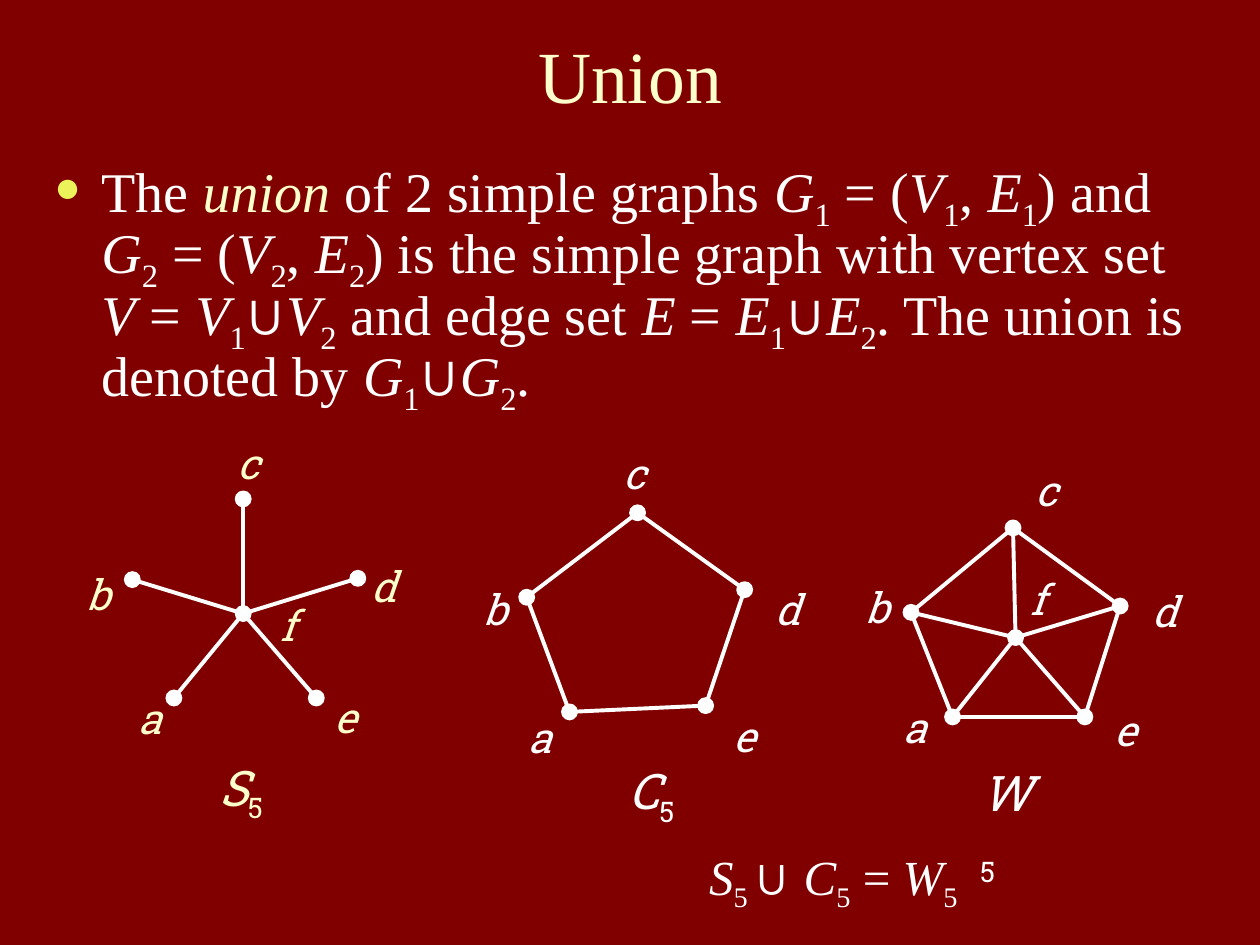
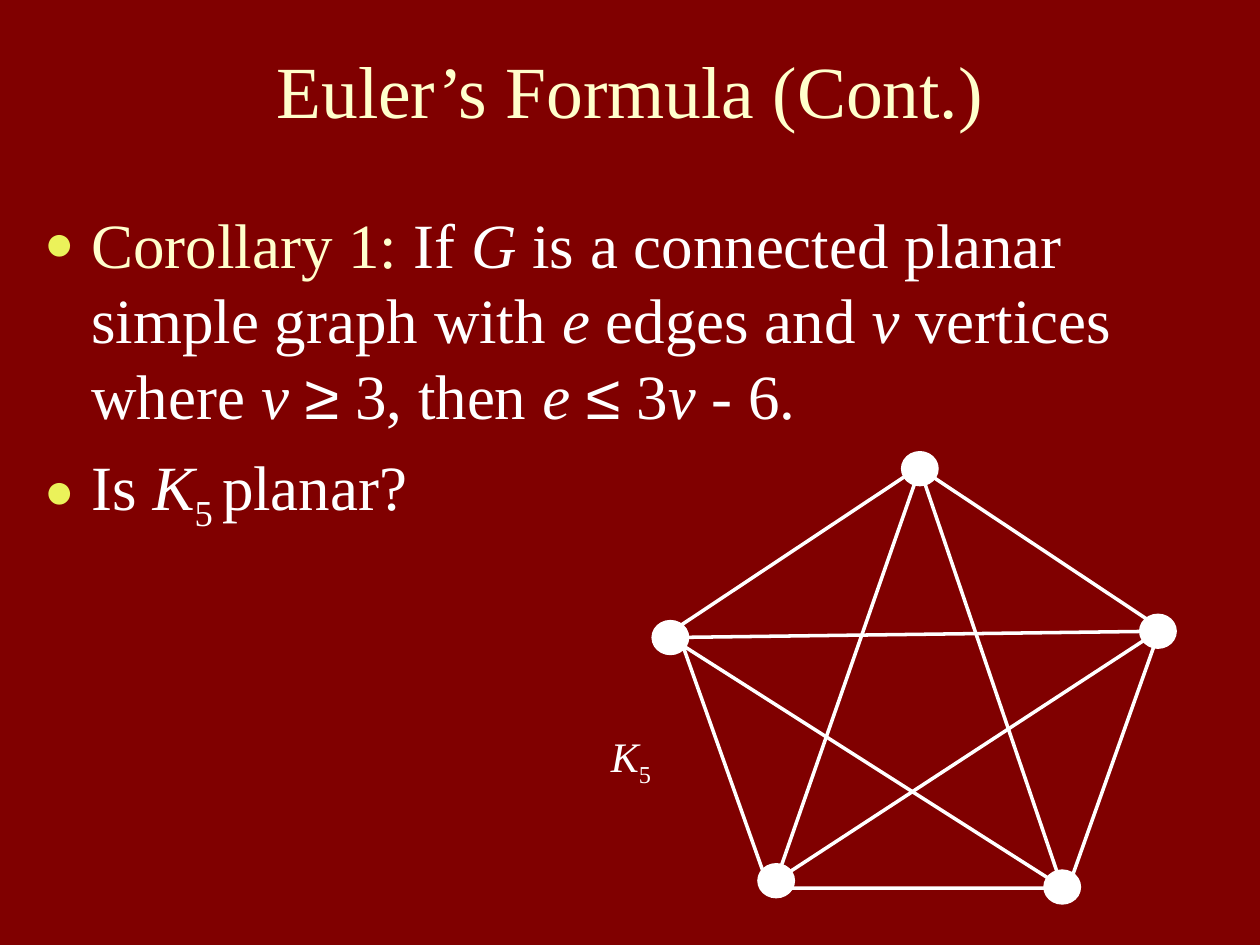
"""Builds two graph theory slides: the union of graphs and a corollary of Euler's formula."""
from dataclasses import dataclass
from itertools import combinations
from typing import NamedTuple

from lxml import etree
from pptx import Presentation, util as u
from pptx.dml.color import RGBColor
from pptx.enum import shapes, text
from pptx.oxml import ns

COLUMNS, ROWS = 100, 75
SLIDE_WIDTH, SLIDE_HEIGHT = u.Inches(10), u.Inches(7.5)


@dataclass(frozen=True)
class Theme:
    background: str = "800000"
    ink: str = "FFFFFF"
    accent: str = "FFFFCC"
    bullet: str = "EBF25A"
    serif: str = "Times New Roman"
    slab: str = "Roboto Slab"
    symbols: str = "Arial"
    title_size: int = 42
    vertex_size: int = 24
    name_size: int = 28


THEME = Theme()


class Area(NamedTuple):
    left: float
    top: float
    width: float
    height: float


class Point(NamedTuple):
    x: float
    y: float


class Run(NamedTuple):
    words: str
    italic: bool = False
    subscript: bool = False
    color: str = THEME.ink
    font: str = THEME.serif


class BodyStyle(NamedTuple):
    size: int
    line_spacing: float
    space_before: int


class Label(NamedTuple):
    area: Area
    runs: list[Run]
    size: int


@dataclass(frozen=True)
class Graph:
    vertices: dict[str, Point]
    edges: list[str]
    dot: Point
    line_width: float
    dot_outline: float


def col(columns: float) -> int:
    """Turn grid columns into a length."""
    return round(SLIDE_WIDTH * columns / COLUMNS)


def row(rows: float) -> int:
    """Turn grid rows into a length."""
    return round(SLIDE_HEIGHT * rows / ROWS)


def frame(area: Area) -> tuple[int, int, int, int]:
    """Turn a grid area into left, top, width and height."""
    return col(area.left), row(area.top), col(area.width), row(area.height)


def rgb(color: str) -> RGBColor:
    """Turn a hex colour into a colour value."""
    return RGBColor.from_string(color)


def var(name: str, color: str = THEME.ink, font: str = THEME.serif) -> Run:
    """Make an italic variable."""
    return Run(name, italic=True, color=color, font=font)


def indexed(name: str, index: str, color: str = THEME.ink, font: str = THEME.serif) -> list[Run]:
    """Make an italic variable with a subscript."""
    return [var(name, color, font), Run(index, subscript=True, color=color, font=font)]


def symbol(sign: str) -> Run:
    """Make a mathematical sign."""
    return Run(sign, font=THEME.symbols)


def joined(name: str) -> list[Run]:
    """Make the union of the first and second set of one name."""
    return [*indexed(name, "1"), symbol("∪"), *indexed(name, "2")]


def graph_pair(index: str) -> list[Run]:
    """Make the definition of a graph by its vertices and edges."""
    return [*indexed("G", index), Run(" = ("), *indexed("V", index), Run(", "),
            *indexed("E", index), Run(")")]


def add_runs(paragraph, runs: list[Run], size: int) -> None:
    """Write formatted runs into a paragraph."""
    for part in runs:
        run = paragraph.add_run()
        run.text = part.words
        run.font.size = u.Pt(size)
        run.font.name = part.font
        run.font.italic = part.italic
        run.font.color.rgb = rgb(part.color)
        if part.subscript:
            run.font._element.set("baseline", "-25000")


def add_bullet(paragraph) -> None:
    """Give a paragraph a round bullet and a hanging indent."""
    properties = paragraph._p.get_or_add_pPr()
    properties.set("marL", str(col(3.75)))
    properties.set("indent", str(-col(3.75)))
    color = etree.SubElement(properties, ns.qn("a:buClr"))
    etree.SubElement(color, ns.qn("a:srgbClr"), val=THEME.bullet)
    etree.SubElement(properties, ns.qn("a:buSzPct"), val="80000")
    etree.SubElement(properties, ns.qn("a:buChar"), char="●")


def place(placeholder, area: Area):
    """Move a placeholder and return its text frame."""
    placeholder.left, placeholder.top, placeholder.width, placeholder.height = frame(area)
    placeholder.text_frame.auto_size = text.MSO_AUTO_SIZE.NONE
    placeholder.text_frame.word_wrap = True
    return placeholder.text_frame


def add_slide(deck, heading: str, heading_height: float, body_area: Area,
              points: list[list[Run]], style: BodyStyle):
    """Add a slide with a title and a bulleted body."""
    slide = deck.slides.add_slide(deck.slide_layouts[1])
    title = place(slide.shapes.title, Area(5, 1.7, 90, heading_height))
    title.vertical_anchor = text.MSO_ANCHOR.MIDDLE
    title.paragraphs[0].alignment = text.PP_ALIGN.CENTER
    add_runs(title.paragraphs[0], [Run(heading, color=THEME.accent)], THEME.title_size)
    body = place(slide.placeholders[1], body_area)
    for number, runs in enumerate(points):
        paragraph = body.add_paragraph() if number else body.paragraphs[0]
        add_bullet(paragraph)
        paragraph.line_spacing = style.line_spacing
        paragraph.space_before = u.Pt(style.space_before if number else 0)
        add_runs(paragraph, runs, style.size)
    return slide


def add_label(slide, label: Label) -> None:
    """Add a text label."""
    caption = slide.shapes.add_textbox(*frame(label.area)).text_frame
    caption.word_wrap = True
    add_runs(caption.paragraphs[0], label.runs, label.size)


def add_edge(slide, start: Point, end: Point, width: float) -> None:
    """Join two vertices with a line."""
    edge = slide.shapes.add_connector(shapes.MSO_CONNECTOR.STRAIGHT, col(start.x), row(start.y),
                                      col(end.x), row(end.y))
    edge.line.color.rgb = rgb(THEME.ink)
    edge.line.width = u.Pt(width)
    etree.SubElement(edge._element.spPr, ns.qn("a:effectLst"))


def add_outline(slide, kind, area: Area, width: float, filled: bool) -> None:
    """Add a preset shape outlined in the ink colour."""
    shape = slide.shapes.add_shape(kind, *frame(area))
    shape.shadow.inherit = False
    shape.line.color.rgb = rgb(THEME.ink)
    shape.line.width = u.Pt(width)
    if filled:
        shape.fill.solid()
        shape.fill.fore_color.rgb = rgb(THEME.ink)
    else:
        shape.fill.background()


def add_graph(slide, graph: Graph) -> None:
    """Draw the edges of a graph and its vertices above them."""
    for start, end in graph.edges:
        add_edge(slide, graph.vertices[start], graph.vertices[end], graph.line_width)
    for centre in graph.vertices.values():
        area = Area(centre.x - graph.dot.x / 2, centre.y - graph.dot.y / 2, *graph.dot)
        add_outline(slide, shapes.MSO_SHAPE.OVAL, area, graph.dot_outline, True)


def add_union_slide(deck) -> None:
    """Add the slide on the union of two graphs."""
    definition = [
        Run("The "), var("union ", THEME.accent), Run("of 2 simple graphs "), *graph_pair("1"),
        Run(" and "), *graph_pair("2"), Run(" is the simple graph with vertex set "),
        var("V"), Run(" = "), *joined("V"), Run(" and edge set "), var("E"), Run(" = "),
        *joined("E"), Run(". The union is denoted by "), *joined("G"), Run("."),
    ]
    slide = add_slide(deck, "Union", 8.3, Area(3.3, 12.5, 93.3, 21.7), [definition],
                      BodyStyle(32, 0.8, 8))
    spokes = [f"f{rim}" for rim in "abcde"]
    cycle = ["ab", "bc", "cd", "de", "ea"]
    star = {"a": Point(13.8, 55.4), "b": Point(10.5, 46), "c": Point(19.3, 39.6),
            "d": Point(28.4, 45.9), "e": Point(25.1, 55.4), "f": Point(19.3, 48.7)}
    ring = {"a": Point(45.2, 56.5), "b": Point(41.8, 47.4), "c": Point(50.6, 40.7),
            "d": Point(59.1, 46.8), "e": Point(56, 56)}
    wheel = {"a": Point(75.6, 56.9), "b": Point(72.3, 48.6), "c": Point(80.4, 41.9),
             "d": Point(88.9, 48.1), "e": Point(86.1, 56.9), "f": Point(80.6, 50.6)}
    for vertices, edges in ((star, spokes), (ring, cycle), (wheel, cycle + spokes)):
        add_graph(slide, Graph(vertices, edges, Point(1.2, 1.2), 2.25, 1))
    star_letters = {"a": Point(10, 54.5), "b": Point(5.9, 44.6), "c": Point(17.9, 34.2),
                    "d": Point(28.5, 44), "e": Point(25.6, 54.4), "f": Point(21.3, 47.1)}
    ring_letters = {"a": Point(41, 56), "b": Point(37.4, 45.8), "c": Point(48.5, 35),
                    "d": Point(60.6, 45.8), "e": Point(57.2, 55.9)}
    wheel_letters = {"a": Point(70.7, 55.2), "b": Point(67.7, 45.7), "c": Point(81.2, 36.4),
                     "d": Point(90.5, 46), "e": Point(87.5, 55.4), "f": Point(80.8, 45)}
    for letters, color in ((star_letters, THEME.accent), (ring_letters, THEME.ink),
                           (wheel_letters, THEME.ink)):
        for letter, corner in letters.items():
            add_label(slide, Label(Area(*corner, 4.4, 5), [var(letter, color, THEME.slab)],
                                   THEME.vertex_size))
    for name, area, color in (("S", Area(16.4, 59.6, 9, 6.3), THEME.accent),
                              ("C", Area(48.9, 59.9, 9, 6.3), THEME.ink),
                              ("W", Area(76.8, 60, 7.1, 6.3), THEME.ink)):
        add_label(slide, Label(area, indexed(name, "5", color, THEME.slab), THEME.name_size))
    equation = [*indexed("S", "5 "), symbol("∪ "), *indexed("C", "5"), Run(" = "),
                *indexed("W", "5")]
    add_label(slide, Label(Area(55.3, 66.7, 26, 6.3), equation, THEME.name_size))


def add_euler_slide(deck) -> None:
    """Add the slide on the corollary and the complete graph."""
    corollary = [
        Run("Corollary 1:", color=THEME.accent), Run(" If "), var("G"),
        Run(" is a connected planar simple graph with "), var("e"), Run(" edges and "), var("v"),
        Run(" vertices where "), var("v "), symbol("≥"), Run(" 3, then "), var("e "),
        symbol("≤"), Run(" 3"), var("v"), Run(" - 6."),
    ]
    question = [Run("Is "), *indexed("K", "5 "), Run("planar?")]
    slide = add_slide(deck, "Euler’s Formula (Cont.)", 10.8, Area(2.5, 15.8, 94.2, 27.5),
                      [corollary, question], BodyStyle(36, 1.0, 9))
    corners = {"a": Point(61.6, 69.9), "b": Point(53.2, 50.6), "c": Point(73, 37.2),
               "d": Point(91.9, 50.1), "e": Point(84.3, 70.4)}
    sides = {"ab", "bc", "cd", "de", "ae"}
    diagonals = [pair for pair in map("".join, combinations(corners, 2)) if pair not in sides]
    add_outline(slide, shapes.MSO_SHAPE.REGULAR_PENTAGON, Area(53.7, 37.1, 38.4, 33.4), 2, False)
    add_graph(slide, Graph(corners, diagonals, Point(2.9, 2.7), 2, 0.75))
    add_label(slide, Label(Area(47.5, 57.5, 8.3, 5.6), indexed("K", "5"), THEME.vertex_size))


def main() -> None:
    """Build and save the presentation."""
    deck = Presentation()
    deck.slide_width, deck.slide_height = SLIDE_WIDTH, SLIDE_HEIGHT
    backdrop = deck.slide_master.background.fill
    backdrop.solid()
    backdrop.fore_color.rgb = rgb(THEME.background)
    add_union_slide(deck)
    add_euler_slide(deck)
    deck.save("out.pptx")


if __name__ == "__main__":
    main()
